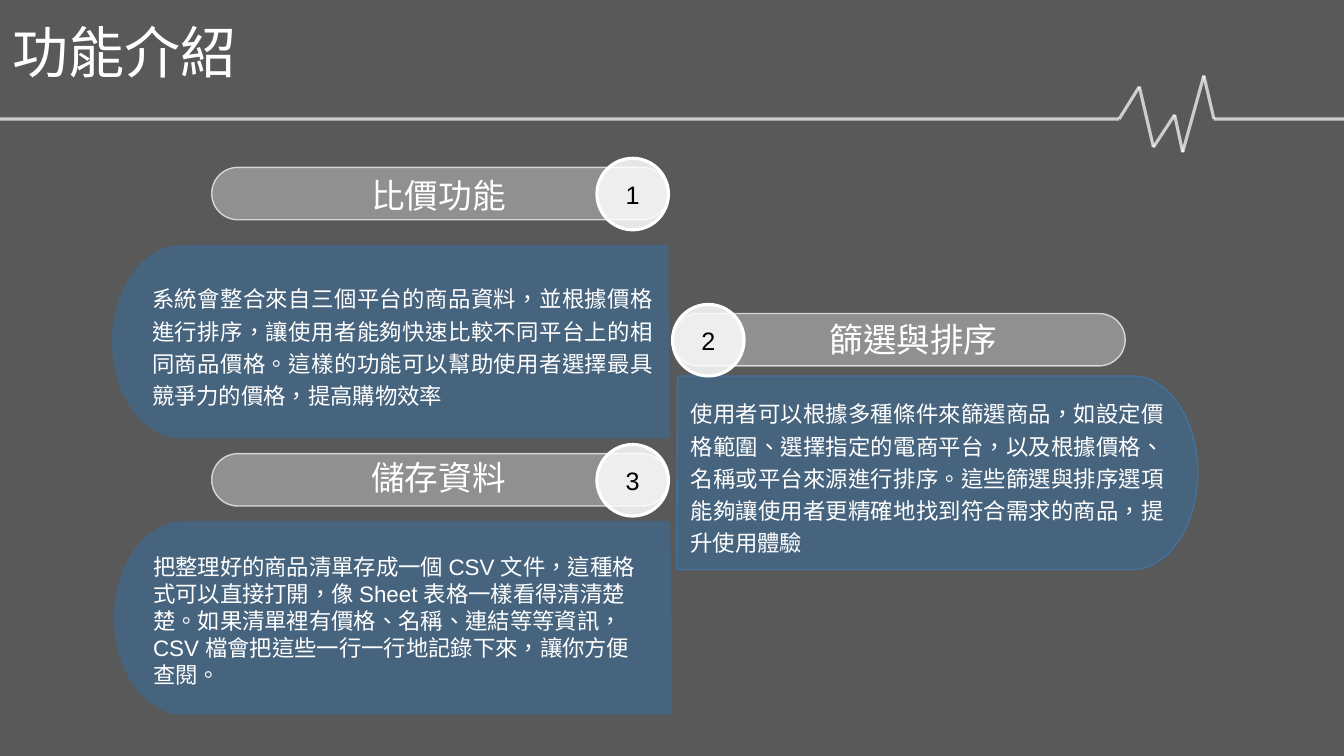
"""Build the feature overview slide."""
import dataclasses
import itertools
import math

import pptx
import pptx.dml.color
import pptx.enum.lang
import pptx.enum.shapes
import pptx.enum.text
import pptx.oxml
import pptx.oxml.ns
import pptx.util

Inches = pptx.util.Inches
Shape = pptx.enum.shapes.MSO_SHAPE
Align = pptx.enum.text.PP_ALIGN


@dataclasses.dataclass(frozen=True)
class Theme:
    """Colours, fonts and type sizes of the slide."""
    white: str = "FFFFFF"
    black: str = "000000"
    pill: str = "FCFCFC"
    card: str = "2E75B6"
    card_edge: str = "42719B"
    font: str = "Arial"
    cjk_font: str = "Noto Sans CJK SC"
    title: int = 40
    heading: int = 24
    number: int = 18
    body: int = 16


def paint(fill, color, opacity=100):
    """Set a solid colour with an opacity in percent."""
    fill.solid()
    fill.fore_color.rgb = pptx.dml.color.RGBColor.from_string(color)
    if opacity < 100:
        alpha = pptx.oxml.parse_xml(
            f'<a:alpha {pptx.oxml.ns.nsdecls("a")} val="{opacity * 1000}"/>')
        fill._xPr.find(".//" + pptx.oxml.ns.qn("a:srgbClr")).append(alpha)


def stroke(line, color, width, opacity=100):
    """Set the colour, width and opacity of an outline."""
    paint(line.fill, color, opacity)
    line.width = pptx.util.Pt(width)


def write(frame, text, *, size, color, font, cjk_font, align=Align.LEFT, spacing=None):
    """Put one formatted paragraph in a text frame."""
    frame.word_wrap = True
    paragraph = frame.paragraphs[0]
    paragraph.alignment = align
    paragraph.line_spacing = spacing
    run = paragraph.add_run()
    run.text = text
    run.font.size = pptx.util.Pt(size)
    run.font.name = font
    run.font.language_id = pptx.enum.lang.MSO_LANGUAGE_ID.TRADITIONAL_CHINESE
    run.font.color.rgb = pptx.dml.color.RGBColor.from_string(color)
    run.font._element.append(pptx.oxml.parse_xml(
        f'<a:ea {pptx.oxml.ns.nsdecls("a")} typeface="{cjk_font}"/>'))


class FeatureSlide:
    """Draws the elements of one slide in a theme."""

    def __init__(self, slide, theme):
        """Keep the slide and its theme."""
        self.shapes = slide.shapes
        self.theme = theme

    def preset(self, kind, box, color, opacity, edge=None):
        """Add a filled preset shape, with an edge of (width, opacity)."""
        shape = self.shapes.add_shape(kind, *map(Inches, box))
        shape.shadow.inherit = False
        paint(shape.fill, color, opacity)
        if edge:
            stroke(shape.line, self.theme.white, *edge)
        else:
            shape.line.fill.background()
        return shape

    def text(self, box, text, size, font=None, **layout):
        """Add a wrapped white text box that grows with its text."""
        frame = self.shapes.add_textbox(*map(Inches, box)).text_frame
        frame.auto_size = pptx.enum.text.MSO_AUTO_SIZE.SHAPE_TO_FIT_TEXT
        write(frame, text, size=size, color=self.theme.white,
              font=font or self.theme.font, cjk_font=self.theme.cjk_font, **layout)

    def pulse(self, points):
        """Join the points with translucent lines."""
        for start, end in itertools.pairwise(points):
            line = self.shapes.add_connector(
                pptx.enum.shapes.MSO_CONNECTOR.STRAIGHT, *map(Inches, start + end))
            stroke(line.line, self.theme.white, 2.25, 70)
            line._element.spPr.append(pptx.oxml.parse_xml(
                f'<a:effectLst {pptx.oxml.ns.nsdecls("a")}/>'))

    def card(self, flat_top, flat_bottom, arc_x, reach, top, edge=None):
        """Add a card with one flat side and one half-elliptical side."""
        height, steps = 1.92, 48
        angles = [math.pi * step / steps for step in range(steps + 1)]
        arc = [(arc_x + reach * math.sin(angle),
                top + height / 2 * (1 - math.cos(angle))) for angle in angles]
        outline = [(Inches(x), Inches(y)) for x, y in arc + [(flat_bottom, top + height)]]
        builder = self.shapes.build_freeform(Inches(flat_top), Inches(top))
        builder.add_line_segments(outline, close=True)
        card = builder.convert_to_shape()
        card.shadow.inherit = False
        paint(card.fill, self.theme.card, 40)
        if edge:
            stroke(card.line, edge, 1)
        else:
            card.line.fill.background()

    def heading(self, number, label, pill, badge_left, label_box):
        """Add a heading pill with its numbered badge and label."""
        bar = self.preset(Shape.ROUNDED_RECTANGLE, pill, self.theme.pill, 34, (1, 70))
        bar.adjustments[0] = 0.5
        badge_box = (badge_left, pill[1] - 0.09, 0.71, 0.71)
        badge = self.preset(Shape.OVAL, badge_box, self.theme.white, 85, (2.25, 100))
        badge.text_frame.vertical_anchor = pptx.enum.text.MSO_ANCHOR.MIDDLE
        write(badge.text_frame, number, size=self.theme.number, color=self.theme.black,
              font=self.theme.font, cjk_font=self.theme.cjk_font, align=Align.CENTER)
        self.text(label_box, label, self.theme.heading, align=Align.CENTER)


def main():
    """Build and save the slide."""
    theme = Theme()
    deck = pptx.Presentation()
    deck.slide_width, deck.slide_height = Inches(13.33), Inches(7.5)
    page = FeatureSlide(deck.slides.add_slide(deck.slide_layouts[6]), theme)

    page.preset(Shape.RECTANGLE, (0, 0, 13.33, 7.5), theme.black, 65)
    page.pulse([(0, 1.18), (11.1, 1.18), (11.3, 0.86), (11.44, 1.46), (11.65, 1.14),
                (11.73, 1.51), (11.94, 0.75), (12.04, 1.18), (13.33, 1.18)])
    page.text((0.03, 0.12, 2.54, 0.77), "功能介紹", theme.title, theme.cjk_font)

    page.card(6.63, 6.64, 1.8, -0.69, 2.43)
    page.card(6.72, 6.71, 11.23, 0.65, 3.73, theme.card_edge)
    page.card(6.65, 6.67, 1.82, -0.69, 5.17)

    justified = {"align": Align.JUSTIFY, "spacing": 1.2}
    details = [
        ((6.75, 3.87, 4.9, 1.69), justified,
         "使用者可以根據多種條件來篩選商品，如設定價格範圍、選擇指定的電商平台，"
         "以及根據價格、名稱或平台來源進行排序。這些篩選與排序選項能夠讓使用者"
         "更精確地找到符合需求的商品，提升使用體驗"),
        ((1.41, 2.73, 5.17, 1.37), justified,
         "系統會整合來自三個平台的商品資料，並根據價格進行排序，讓使用者能夠快速"
         "比較不同平台上的相同商品價格。這樣的功能可以幫助使用者選擇最具競爭力的"
         "價格，提高購物效率"),
        ((1.42, 5.44, 5.06, 1.45), {},
         "把整理好的商品清單存成一個 CSV 文件，這種格式可以直接打開，像 Sheet "
         "表格一樣看得清清楚楚。如果清單裡有價格、名稱、連結等等資訊，CSV "
         "檔會把這些一行一行地記錄下來，讓你方便查閱。"),
    ]
    for box, layout, detail in details:
        page.text(box, detail, theme.body, **layout)

    page.heading("1", "比價功能", (2.1, 1.66, 4.53, 0.52), 5.92, (2.07, 1.69, 4.56, 0.5))
    page.heading("2", "篩選與排序", (6.67, 3.11, 4.49, 0.52), 6.67, (6.78, 3.11, 4.56, 0.5))
    page.heading("3", "儲存資料", (2.1, 4.5, 4.53, 0.52), 5.92, (2.07, 4.48, 4.56, 0.5))

    deck.save("out.pptx")


if __name__ == "__main__":
    main()
